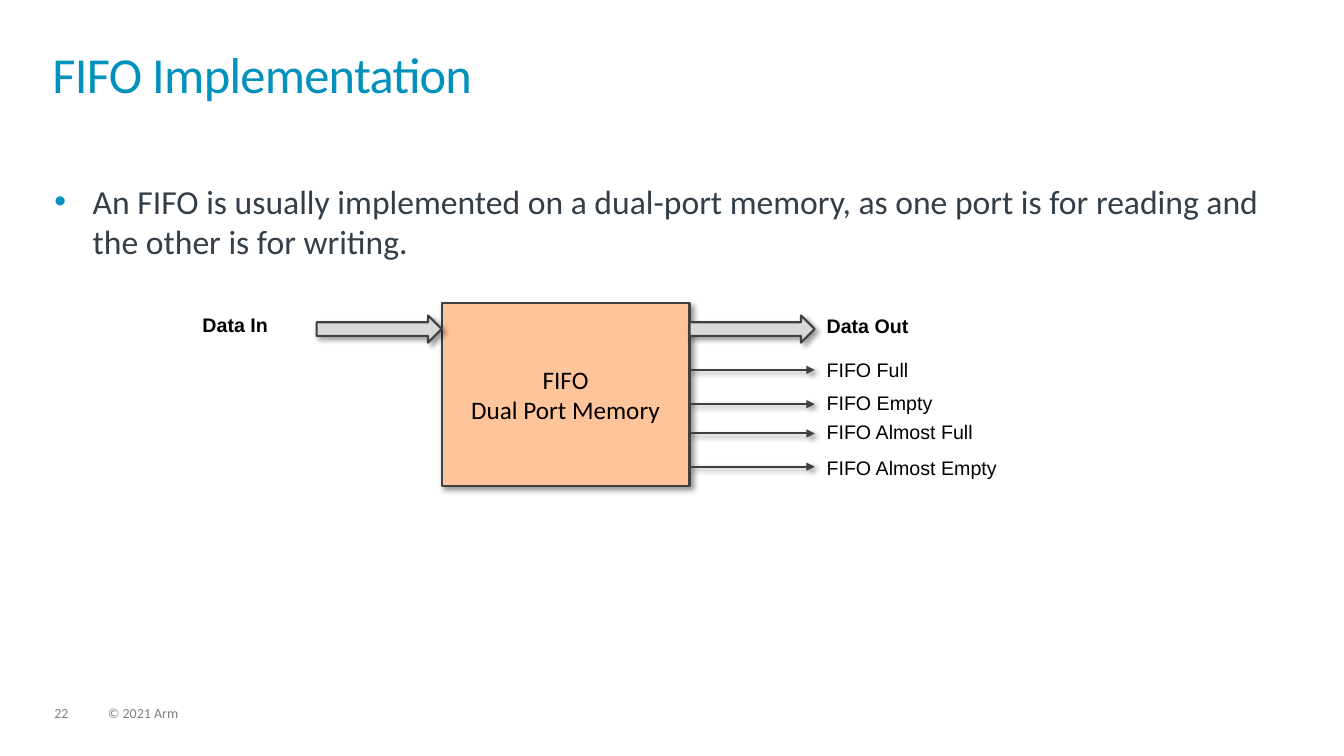
from lxml import etree
from pptx import Presentation
from pptx import util as u
from pptx.dml.color import RGBColor
from pptx.enum import shapes, text
from pptx.oxml import ns

FLAGS = [("FIFO Full", 0.66, 0.49), ("FIFO Empty", 1.0, 0.82),
         ("FIFO Almost Full", 1.29, 1.11), ("FIFO Almost Empty", 1.62, 1.46)]


def rgb(value):
    return RGBColor.from_string(value)


def child(parent, tag, **attrs):
    return etree.SubElement(parent, ns.qn(tag), attrs)


def style(p, size, color, font="Calibri", bold=False):
    p.font.size = u.Pt(size)
    p.font.name = font
    p.font.bold = bold
    p.font.color.rgb = rgb(color)


def set_frame(tf, margin_x=0, margin_y=0):
    tf.word_wrap = True
    tf.vertical_anchor = text.MSO_ANCHOR.TOP
    tf.margin_left = tf.margin_right = u.Inches(margin_x)
    tf.margin_top = tf.margin_bottom = u.Inches(margin_y)


def add_text(slide, box, content, margin_x=0, margin_y=0):
    sp = slide.shapes.add_textbox(*map(u.Inches, box))
    set_frame(sp.text_frame, margin_x, margin_y)
    p = sp.text_frame.paragraphs[0]
    p.text = content
    return p


def add_label(slide, x, y, width, content, bold=False):
    p = add_text(slide, (x, y, width, 0.34), content, 0.1, 0.05)
    style(p, 14, "000000", "Arial", bold)


def outline(sp):
    sp.line.color.rgb = rgb("404040")
    sp.line.width = u.Pt(1.5)


def add_shadow(sp):
    effects = child(sp._element.spPr, "a:effectLst")
    shadow = child(effects, "a:outerShdw", blurRad=str(u.Pt(4)), dist=str(u.Pt(3)),
                   dir="2700000", algn="tl", rotWithShape="0")
    child(child(shadow, "a:srgbClr", val="000000"), "a:alpha", val="40000")


def add_block(slide, kind, box, fill):
    sp = slide.shapes.add_shape(kind, *map(u.Inches, box))
    sp.fill.solid()
    sp.fill.fore_color.rgb = rgb(fill)
    outline(sp)
    add_shadow(sp)
    return sp


def add_flag_arrow(slide, x, y, length):
    line = slide.shapes.add_connector(
        shapes.MSO_CONNECTOR.STRAIGHT, u.Inches(x), u.Inches(y), u.Inches(x + length), u.Inches(y))
    outline(line)
    child(line.line._get_or_add_ln(), "a:tailEnd", type="triangle")
    add_shadow(line)


def add_title(slide, box, content):
    title = slide.shapes.title
    title.left, title.top, title.width, title.height = map(u.Inches, box)
    set_frame(title.text_frame)
    p = title.text_frame.paragraphs[0]
    p.text = content
    p.alignment = text.PP_ALIGN.LEFT
    p.line_spacing = 0.85
    style(p, 36, "0091BD")
    p.runs[0]._r.get_or_add_rPr().set("spc", "-50")


def add_bullet(slide, box, content):
    p = add_text(slide, box, content)
    pPr = p._p.get_or_add_pPr()
    pPr.set("marL", str(u.Inches(0.38)))
    pPr.set("indent", str(u.Inches(-0.38)))
    child(child(pPr, "a:buClr"), "a:srgbClr", val="0091BD")
    child(pPr, "a:buFont", typeface="Arial")
    child(pPr, "a:buChar", char="•")
    style(p, 24, "333E48")


def add_fifo(slide, box):
    x, y, width, height = box
    right, length = x + width, 1.24
    memory = add_block(slide, shapes.MSO_SHAPE.RECTANGLE, box, "FFC499")
    tf = memory.text_frame
    tf.word_wrap = False
    tf.vertical_anchor = text.MSO_ANCHOR.MIDDLE
    tf.text = "FIFO\nDual Port Memory"
    for p in tf.paragraphs:
        p.alignment = text.PP_ALIGN.CENTER
        style(p, 18, "000000")
    for left in (x - length, right):
        add_block(slide, shapes.MSO_SHAPE.RIGHT_ARROW, (left, y + 0.12, length, 0.27), "D9D9D9")
    add_label(slide, x - 2.47, y + 0.05, 1.26, "Data In", True)
    add_label(slide, right + 1.26, y + 0.06, 1.52, "Data Out", True)
    for name, arrow_dy, label_dy in FLAGS:
        add_flag_arrow(slide, right, y + arrow_dy, length)
        add_label(slide, right + 1.26, y + label_dy, 2.71, name)


def add_footer(slide, x, y):
    for dx, width, content in ((0, 0.34, "22"), (0.53, 5.07, "© 2021 Arm")):
        p = add_text(slide, (x + dx, y, width, 0.15), content)
        p.line_spacing = 0.9
        style(p, 10, "7F7F7F")


def main():
    prs = Presentation()
    prs.slide_width, prs.slide_height = u.Inches(13.33), u.Inches(7.5)
    slide = prs.slides.add_slide(prs.slide_layouts[5])
    add_title(slide, (0.52, 0.52, 12.28, 0.72), "FIFO Implementation")
    add_bullet(slide, (0.54, 1.79, 12.2, 4.47),
               "An FIFO is usually implemented on a dual-port memory, "
               "as one port is for reading and the other is for writing.")
    add_fifo(slide, (4.38, 3.01, 2.46, 1.81))
    add_footer(slide, 0.54, 7.01)
    prs.save("out.pptx")


if __name__ == "__main__":
    main()
